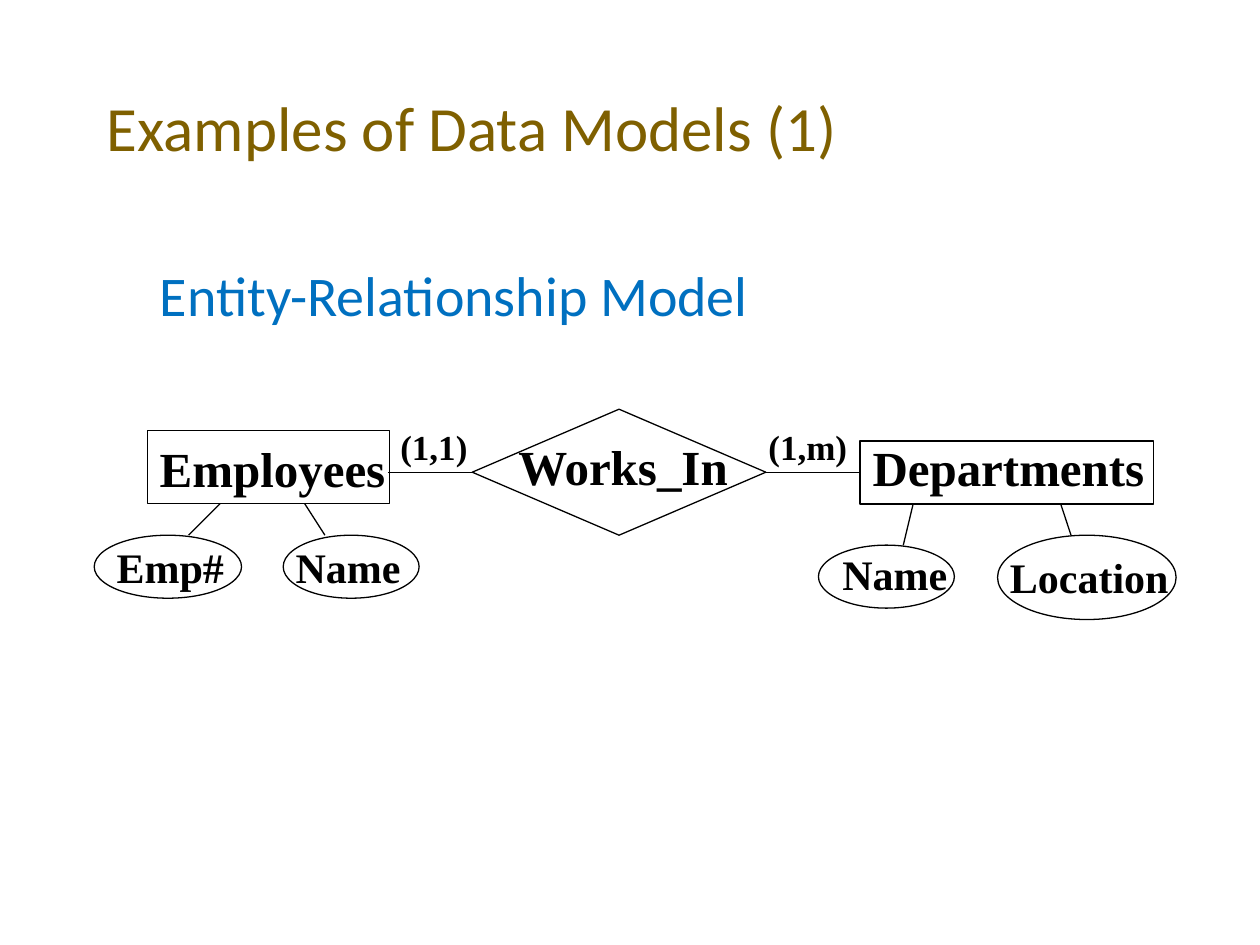
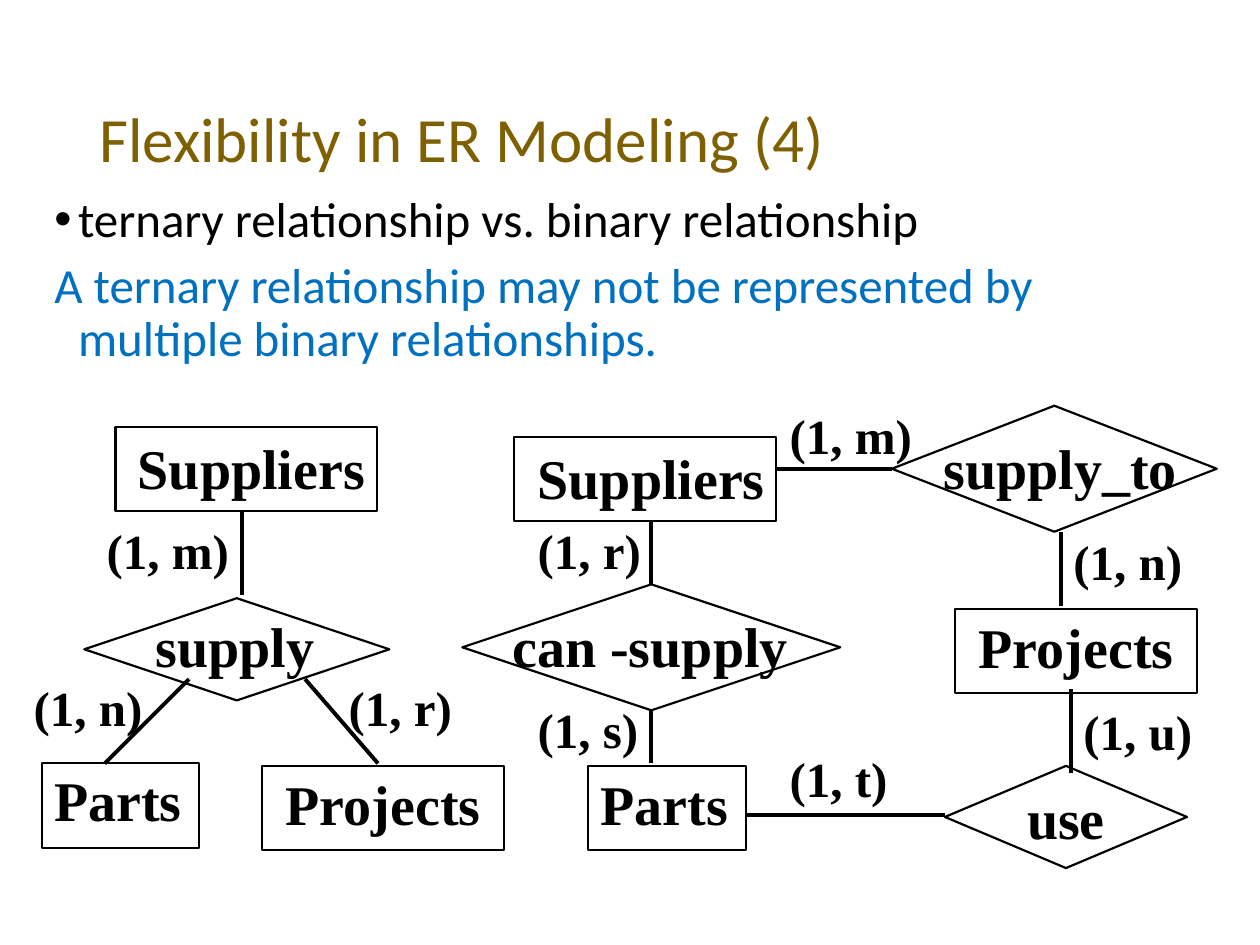
from dataclasses import dataclass

from lxml import etree
from pptx import Presentation
from pptx import util as u
from pptx.dml.color import RGBColor
from pptx.enum import shapes, text
from pptx.oxml import ns


@dataclass(frozen=True)
class Theme:
    gold: str = "7F6000"
    blue: str = "0070C0"
    black: str = "000000"
    sans: str = "Calibri"
    serif: str = "Times New Roman"
    title: int = 36
    head: int = 32
    list: int = 28


@dataclass(frozen=True)
class Style:
    node: int
    leaf: int
    card: int
    edge: float
    link: float


LOOK = Theme()
SMALL = Style(node=28, leaf=24, card=20, edge=0.75, link=0.75)
LARGE = Style(node=32, leaf=32, card=28, edge=1.25, link=2.25)
KINDS = {
    "rect": shapes.MSO_SHAPE.RECTANGLE,
    "diamond": shapes.MSO_SHAPE.DIAMOND,
    "oval": shapes.MSO_SHAPE.OVAL,
}


def apply(obj, values):
    for key, value in values.items():
        setattr(obj, key, value)


def place(shape, box):
    apply(shape, dict(zip(("left", "top", "width", "height"), map(u.Cm, box))))


def paint(run, size, face, tone, bold=False):
    apply(run.font, {"size": u.Pt(size), "name": face, "bold": bold})
    run.font.color.rgb = RGBColor.from_string(tone)


def ink(line, width):
    line.color.rgb = RGBColor.from_string(LOOK.black)
    line.width = u.Pt(width)


def write(shape, words, size, align):
    apply(shape.text_frame, {"word_wrap": False, "auto_size": text.MSO_AUTO_SIZE.NONE})
    para = shape.text_frame.paragraphs[0]
    para.alignment = align
    run = para.add_run()
    run.text = words
    paint(run, size, LOOK.serif, LOOK.black, True)


class Region:
    def __init__(self, slide, left, top, style):
        self.pool, self.left, self.top, self.style = slide.shapes, left, top, style

    def spot(self, x, y):
        return u.Cm(self.left + x), u.Cm(self.top + y)

    def label(self, words, x, y, width, size):
        high = 0.04 * size + 0.34
        box = self.pool.add_textbox(*self.spot(x, y), u.Cm(width), u.Cm(high))
        write(box, words, size, text.PP_ALIGN.LEFT)

    def node(self, kind, words, x, y, wide, high, inner=None):
        shape = self.pool.add_shape(KINDS[kind], *self.spot(x, y), u.Cm(wide), u.Cm(high))
        shape.shadow.inherit = False
        shape.fill.background()
        ink(shape.line, self.style.edge)
        size = self.style.leaf if kind == "oval" else self.style.node
        if inner:
            dx, dy, span = inner
            self.label(words, x + dx, y + dy, span, size)
        else:
            shape.text_frame.vertical_anchor = text.MSO_ANCHOR.MIDDLE
            write(shape, words, size, text.PP_ALIGN.CENTER)

    def link(self, x1, y1, x2, y2):
        line = self.pool.add_connector(
            shapes.MSO_CONNECTOR.STRAIGHT, *self.spot(x1, y1), *self.spot(x2, y2))
        ink(line.line, self.style.link)
        etree.SubElement(line._element.spPr, ns.qn("a:effectLst"))

    def draw(self, nodes, links, cards):
        for node in nodes:
            self.node(*node)
        for link in links:
            self.link(*link)
        for card in cards:
            self.label(*card, self.style.card)


def head(slide, words, box):
    title = slide.shapes.title
    place(title, box)
    apply(title.text_frame, {"text": words, "word_wrap": True,
                             "vertical_anchor": text.MSO_ANCHOR.MIDDLE,
                             "auto_size": text.MSO_AUTO_SIZE.NONE})
    para = title.text_frame.paragraphs[0]
    apply(para, {"alignment": text.PP_ALIGN.LEFT, "line_spacing": 0.9})
    paint(para.runs[0], LOOK.title, LOOK.sans, LOOK.gold)


def body(slide, box, size, items):
    holder = slide.placeholders[1]
    place(holder, box)
    frame = holder.text_frame
    apply(frame, {"text": "\n".join(words for words, _, _ in items),
                  "word_wrap": True, "auto_size": text.MSO_AUTO_SIZE.NONE})
    for para, (_, tone, dot) in zip(frame.paragraphs, items):
        apply(para, {"line_spacing": 0.9, "space_before": u.Pt(7.5)})
        paint(para.runs[0], size, LOOK.sans, tone)
        props = para._p.get_or_add_pPr()
        props.set("marL", str(u.Cm(0.48)))
        props.set("indent", str(-u.Cm(0.48)))
        if dot:
            etree.SubElement(props, ns.qn("a:buChar"), char="•")
        else:
            etree.SubElement(props, ns.qn("a:buNone"))


def staff(slide, left, top):
    Region(slide, left, top, SMALL).draw(
        nodes=[
            ("rect", "Employees", 1.07, 0.43, 4.88, 1.47, (0, 0.03, 5.08)),
            ("diamond", "Works_In", 7.62, 0, 5.92, 2.54, (0.68, 0.43, 4.78)),
            ("rect", "Departments", 15.44, 0.64, 5.92, 1.27, (0, -0.2, 5.97)),
            ("oval", "Emp#", 0, 2.54, 2.97, 1.27, (0.2, 0, 2.74)),
            ("oval", "Name", 3.81, 2.54, 2.74, 1.27, (0, 0, 2.74)),
            ("oval", "Name", 14.6, 2.74, 2.74, 1.27, (0.23, -0.05, 2.62)),
            ("oval", "Location", 18.21, 2.54, 3.6, 1.7, (0, 0.2, 3.71)),
        ],
        links=[
            (5.92, 1.27, 7.62, 1.27),
            (13.54, 1.27, 15.44, 1.27),
            (2.54, 1.9, 1.9, 2.54),
            (4.24, 1.9, 4.65, 2.54),
            (16.51, 1.9, 16.31, 2.74),
            (19.48, 1.9, 19.69, 2.54),
        ],
        cards=[("(1,1)", 5.92, 0.2, 1.85), ("(1,m)", 13.34, 0.2, 2.08)],
    )


def triple(slide, left, top):
    Region(slide, left, top, LARGE).draw(
        nodes=[
            ("rect", "Suppliers", 1.9, 0, 5.28, 1.7, (0.2, 0, 5.08)),
            ("diamond", "supply", 1.27, 3.45, 6.15, 2.06, (1.19, 0.15, 3.71)),
            ("rect", "Parts", 0.41, 6.78, 3.18, 1.7, (0, -0.08, 3.07)),
            ("rect", "Projects", 4.85, 6.83, 4.88, 1.7, (0.23, -0.05, 4.45)),
        ],
        links=[
            (4.45, 3.38, 4.45, 1.7),
            (1.68, 6.78, 3.38, 5.08),
            (5.72, 5.08, 7.19, 6.78),
        ],
        cards=[
            ("(1, m)", 1.47, 1.75, 2.97),
            ("(1, n)", 0, 4.93, 2.69),
            ("(1, r)", 6.35, 4.93, 2.59),
        ],
    )


def pairs(slide, left, top):
    Region(slide, left, top, LARGE).draw(
        nodes=[
            ("rect", "Suppliers", 1.04, 0.76, 5.28, 1.7, (0.23, 0, 5.08)),
            ("diamond", "can -supply", 0, 3.73, 7.62, 2.54, (0.76, 0.43, 6.07)),
            ("rect", "Parts", 2.54, 7.39, 3.18, 1.7, (0, -0.05, 3.07)),
            ("diamond", "supply_to", 8.66, 0.13, 6.55, 2.54, (0.79, 0.43, 5.2)),
            ("rect", "Projects", 9.93, 4.22, 4.88, 1.7, (0.23, -0.05, 4.45)),
            ("diamond", "use", 9.73, 7.39, 4.88, 2.06),
        ],
        links=[
            (3.81, 3.73, 3.81, 2.46),
            (3.81, 7.34, 3.81, 6.27),
            (6.35, 1.4, 8.66, 1.4),
            (12.07, 4.17, 12.07, 2.67),
            (12.27, 7.54, 12.27, 5.84),
            (5.72, 8.38, 9.73, 8.38),
        ],
        cards=[
            ("(1, m)", 6.35, 0, 2.97),
            ("(1, n)", 12.07, 2.54, 2.69),
            ("(1, u)", 12.27, 5.97, 2.69),
            ("(1, r)", 1.27, 2.31, 2.59),
            ("(1, s)", 1.27, 5.92, 2.54),
            ("(1, t)", 6.35, 6.91, 2.46),
        ],
    )


def models(slide):
    head(slide, "Examples of Data Models (1)", (1.9, 1.47, 20.75, 2.34))
    body(slide, (2.97, 5.28, 21.79, 12.07), LOOK.head,
         [("Entity-Relationship Model", LOOK.blue, False)])
    staff(slide, 1.9, 8.25)


def choices(slide):
    head(slide, "Flexibility in ER Modeling (4)", (1.75, 1.02, 21.92, 3.68))
    body(slide, (0.84, 3.81, 23.7, 14.4), LOOK.list, [
        ("ternary relationship vs. binary relationship", LOOK.black, True),
        ("A ternary relationship may not be represented by multiple binary relationships.",
         LOOK.blue, False),
    ])
    triple(slide, 0.43, 8.61)
    pairs(slide, 9.32, 8.05)


def main():
    deck = Presentation()
    apply(deck, {"slide_width": u.Cm(25.4), "slide_height": u.Cm(19.05)})
    for build in (models, choices):
        build(deck.slides.add_slide(deck.slide_layouts[1]))
    deck.save("out.pptx")


if __name__ == "__main__":
    main()
